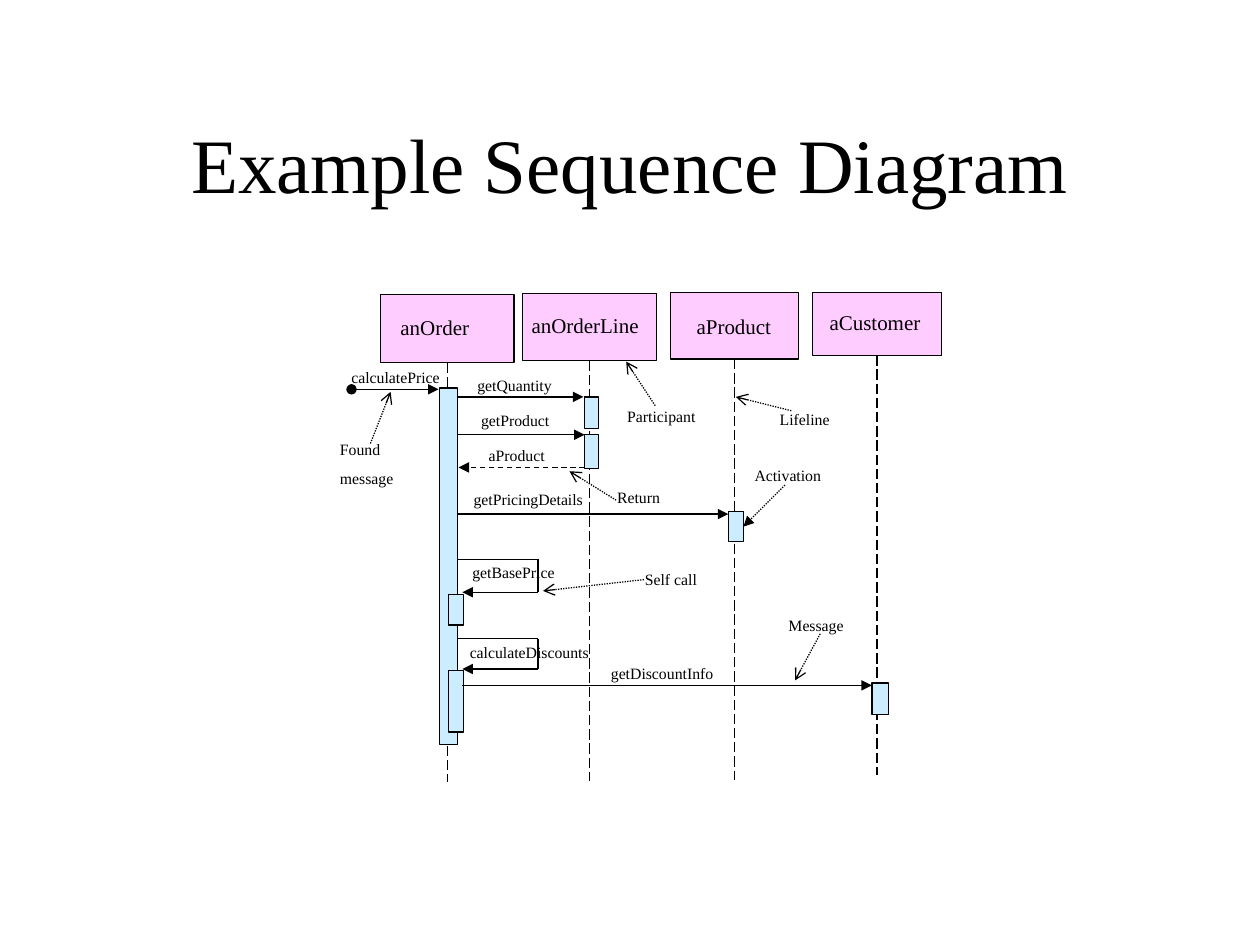
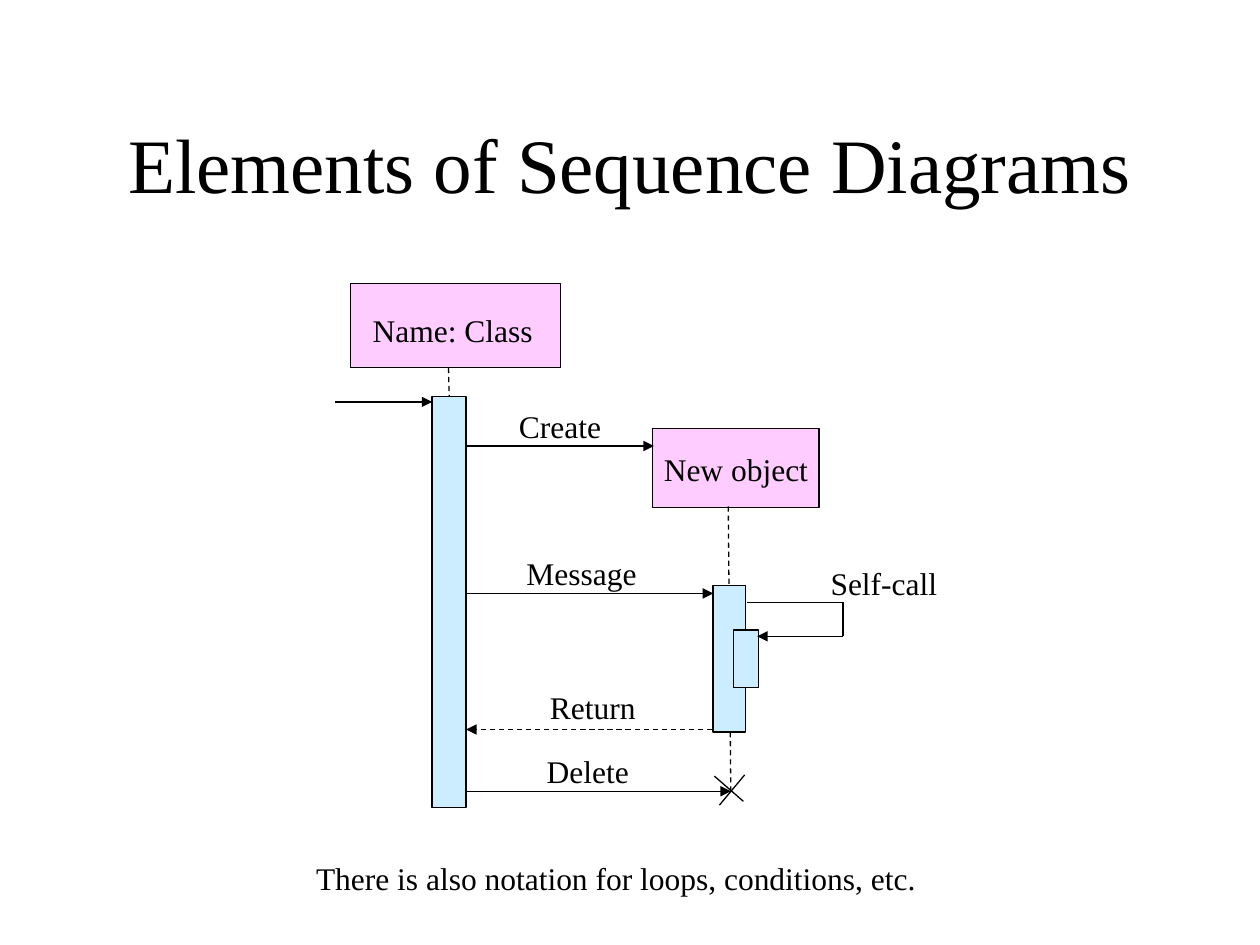
"""Build two slides that explain UML sequence diagrams."""
from dataclasses import dataclass
from typing import Any, Optional

from lxml.etree import SubElement
from pptx import Presentation
from pptx.dml.color import RGBColor
from pptx.enum.dml import MSO_LINE as Dash
from pptx.enum.shapes import MSO_CONNECTOR as Link, MSO_SHAPE as Preset
from pptx.enum.text import MSO_ANCHOR as Anchor, MSO_AUTO_SIZE as Fit, PP_ALIGN as Align
from pptx.oxml.ns import qn
from pptx.util import Emu, Pt

EMU_PER_PX = 9144
BOTTOM, RIGHT, TOP = 2, 3, 0


@dataclass(frozen=True)
class Theme:
    font: str = "Times New Roman"
    ink: RGBColor = RGBColor(0x00, 0x00, 0x00)
    participant: RGBColor = RGBColor(0xFF, 0xCC, 0xFF)
    activation: RGBColor = RGBColor(0xCC, 0xEC, 0xFF)
    stroke: float = 0.75
    title_size: int = 44
    large_size: int = 18
    name_size: int = 12
    small_size: int = 9
    space_ratio: float = 0.625


@dataclass(frozen=True)
class Box:
    left: int
    top: int
    width: int
    height: int

    @property
    def center(self) -> int:
        return self.left + self.width // 2

    @property
    def bottom(self) -> int:
        return self.top + self.height


@dataclass(frozen=True)
class Arrow:
    x1: int
    y1: int
    x2: int
    y2: int
    dash: Optional[Dash] = None
    tail: Optional[str] = "triangle"
    head: Optional[str] = None


@dataclass(frozen=True)
class Label:
    text: str
    left: int
    top: int
    width: int
    size: int
    align: Align = Align.LEFT
    height: int = 25


@dataclass(frozen=True)
class SelfCall:
    start: int
    turn: int
    back: int
    top: int
    bottom: int


@dataclass(frozen=True)
class Participant:
    box: Box
    name: Label
    life_end: int


THEME = Theme()
TITLE_BOX = Box(75, 67, 850, 125)


def px(*lengths: int) -> list[Emu]:
    return [Emu(length * EMU_PER_PX) for length in lengths]


def apply(target: Any, formats: dict[str, Any]) -> None:
    for attribute, value in formats.items():
        setattr(target, attribute, value)


def write(frame: Any, text: str, size: int, align: Align, space: float = 0) -> None:
    frame.text = text
    for paragraph in frame.paragraphs:
        apply(paragraph, {"alignment": align, "space_before": Pt(space)})
        apply(paragraph.font, {"name": THEME.font, "size": Pt(size)})
        paragraph.font.color.rgb = THEME.ink


def add_titled_slide(deck: Any, heading: str) -> Any:
    slide = deck.slides.add_slide(deck.slide_layouts[5])
    title = slide.shapes.title
    left, top, width, height = px(TITLE_BOX.left, TITLE_BOX.top, TITLE_BOX.width, TITLE_BOX.height)
    apply(title, {"left": left, "top": top, "width": width, "height": height})
    write(title.text_frame, heading, THEME.title_size, Align.CENTER)
    apply(title.text_frame, {"vertical_anchor": Anchor.MIDDLE, "auto_size": Fit.NONE,
                             "word_wrap": True})
    return slide


def draw_box(slide: Any, box: Box, fill: RGBColor) -> Any:
    rectangle = slide.shapes.add_shape(
        Preset.RECTANGLE, *px(box.left, box.top, box.width, box.height))
    rectangle.shadow.inherit = False
    rectangle.fill.solid()
    rectangle.fill.fore_color.rgb = fill
    rectangle.line.color.rgb = THEME.ink
    rectangle.line.width = Pt(THEME.stroke)
    return rectangle


def draw_arrow(slide: Any, arrow: Arrow) -> Any:
    connector = slide.shapes.add_connector(
        Link.STRAIGHT, *px(arrow.x1, arrow.y1, arrow.x2, arrow.y2))
    connector.line.color.rgb = THEME.ink
    apply(connector.line, {"width": Pt(THEME.stroke), "dash_style": arrow.dash})
    outline = connector.line._get_or_add_ln()
    for tag, tip in (("a:headEnd", arrow.head), ("a:tailEnd", arrow.tail)):
        if tip:
            SubElement(outline, qn(tag), type=tip)
    SubElement(connector._element.spPr, qn("a:effectLst"))
    return connector


def draw_label(slide: Any, label: Label) -> None:
    caption = slide.shapes.add_textbox(*px(label.left, label.top, label.width, label.height))
    write(caption.text_frame, label.text, label.size, label.align,
          label.size * THEME.space_ratio)
    apply(caption.text_frame, {"word_wrap": True, "auto_size": Fit.SHAPE_TO_FIT_TEXT})


def draw_self_call(slide: Any, call: SelfCall) -> None:
    draw_arrow(slide, Arrow(call.start, call.top, call.turn, call.top, tail=None))
    draw_arrow(slide, Arrow(call.turn, call.top, call.turn, call.bottom, tail=None))
    draw_arrow(slide, Arrow(call.turn, call.bottom, call.back, call.bottom))


def draw_participant(slide: Any, participant: Participant) -> None:
    box = participant.box
    rectangle = draw_box(slide, box, THEME.participant)
    lifeline = draw_arrow(slide, Arrow(box.center, box.bottom, box.center,
                                       participant.life_end, Dash.LONG_DASH, None))
    lifeline.begin_connect(rectangle, BOTTOM)
    draw_label(slide, participant.name)


def note_arrow(x1: int, y1: int, x2: int, y2: int, tail: str = "arrow") -> Arrow:
    return Arrow(x1, y1, x2, y2, Dash.ROUND_DOT, tail)


def build_example(deck: Any) -> None:
    slide = add_titled_slide(deck, "Example Sequence Diagram")
    name, small = THEME.name_size, THEME.small_size
    participants = [
        Participant(Box(302, 234, 106, 54), Label("anOrder", 308, 245, 93, name), 621),
        Participant(Box(415, 233, 106, 53), Label("anOrderLine", 412, 243, 111, name), 620),
        Participant(Box(532, 232, 102, 53),
                    Label("aProduct", 536, 244, 93, name, Align.CENTER), 619),
        Participant(Box(645, 232, 102, 50),
                    Label("aCustomer", 648, 241, 93, name, Align.CENTER), 615),
    ]
    for participant in participants:
        draw_participant(slide, participant)

    activations = [
        Box(349, 308, 14, 283), Box(356, 472, 12, 24), Box(356, 532, 12, 49),
        Box(464, 315, 11, 25), Box(464, 345, 11, 27), Box(692, 542, 13, 25),
    ]
    for activation in activations:
        draw_box(slide, activation, THEME.activation)
    pricing = draw_box(slide, Box(578, 406, 12, 24), THEME.activation)
    draw_arrow(slide, note_arrow(623, 385, 590, 418, "triangle")).end_connect(pricing, RIGHT)

    arrows = [
        Arrow(279, 309, 348, 309, head="oval"),
        Arrow(363, 315, 463, 315),
        Arrow(363, 345, 464, 345),
        Arrow(464, 371, 364, 371, Dash.DASH),
        Arrow(363, 408, 578, 408),
        Arrow(367, 544, 692, 544),
        note_arrow(294, 352, 310, 311),
        note_arrow(520, 322, 497, 287),
        note_arrow(628, 326, 584, 315),
        note_arrow(489, 397, 452, 374),
        note_arrow(511, 460, 431, 469),
        note_arrow(651, 503, 631, 540),
    ]
    for arrow in arrows:
        draw_arrow(slide, arrow)
    for top, bottom in ((444, 470), (507, 531)):
        draw_self_call(slide, SelfCall(363, 427, 367, top, bottom))

    labels = [
        ("calculatePrice", 269, 287, 101), ("getQuantity", 369, 293, 101),
        ("getProduct", 372, 321, 101), ("aProduct", 378, 349, 101),
        ("getPricingDetails", 366, 384, 109), ("getBasePrice", 365, 442, 109),
        ("calculateDiscounts", 363, 505, 118), ("getDiscountInfo", 475, 522, 118),
        ("Found\nmessage", 260, 344, 76), ("Participant", 488, 318, 76),
        ("Lifeline", 609, 320, 76), ("Return", 480, 382, 76),
        ("Activation", 589, 365, 76), ("Self call", 502, 447, 76),
        ("Message", 616, 484, 76),
    ]
    for text, left, top, width in labels:
        draw_label(slide, Label(text, left, top, width, small))


def build_elements(deck: Any) -> None:
    slide = add_titled_slide(deck, "Elements of Sequence Diagrams")
    large = THEME.large_size
    for participant in (Box(278, 225, 167, 67), Box(518, 340, 132, 63)):
        draw_box(slide, participant, THEME.participant)
    draw_arrow(slide, Arrow(578, 402, 580, 628, Dash.DASH, None))

    caller = draw_box(slide, Box(343, 315, 27, 326), THEME.activation)
    for activation in (Box(566, 465, 26, 116), Box(582, 500, 20, 46)):
        draw_box(slide, activation, THEME.activation)
    caller_lifeline = draw_arrow(slide, Arrow(356, 292, 356, 315, Dash.DASH, None))
    caller_lifeline.end_connect(caller, TOP)

    arrows = [
        Arrow(266, 319, 343, 319),
        Arrow(370, 354, 519, 354),
        Arrow(370, 471, 566, 471),
        Arrow(565, 579, 370, 579, Dash.DASH),
        Arrow(370, 628, 580, 628),
        Arrow(567, 616, 590, 636, tail=None),
        Arrow(591, 615, 571, 639, tail=None),
    ]
    for arrow in arrows:
        draw_arrow(slide, arrow)
    draw_self_call(slide, SelfCall(593, 669, 601, 478, 505))

    labels = [
        ("Name: Class", 286, 242, 151, Align.LEFT),
        ("New object", 517, 352, 151, Align.LEFT),
        ("Create", 369, 318, 151, Align.CENTER),
        ("Message", 386, 435, 151, Align.CENTER),
        ("Return", 395, 541, 151, Align.CENTER),
        ("Delete", 391, 592, 151, Align.CENTER),
        ("Self-call", 626, 443, 151, Align.CENTER),
        ("There is also notation for loops, conditions, etc.", 241, 677, 569, Align.LEFT),
    ]
    for text, left, top, width, align in labels:
        draw_label(slide, Label(text, left, top, width, large, align, 40))


def main() -> None:
    deck = Presentation()
    deck.slide_width, deck.slide_height = px(1000, 750)
    build_example(deck)
    build_elements(deck)
    deck.save("out.pptx")


if __name__ == "__main__":
    main()
